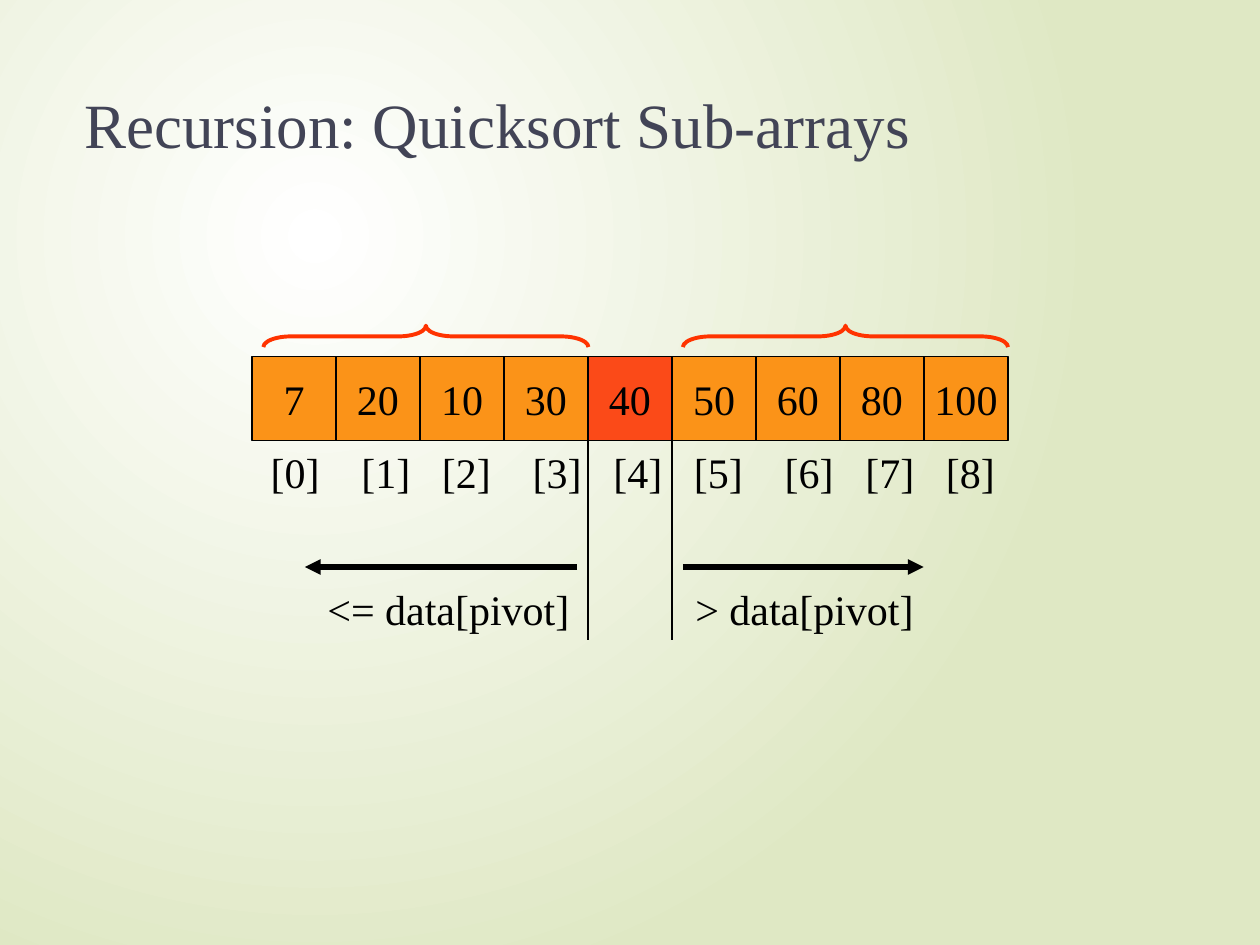
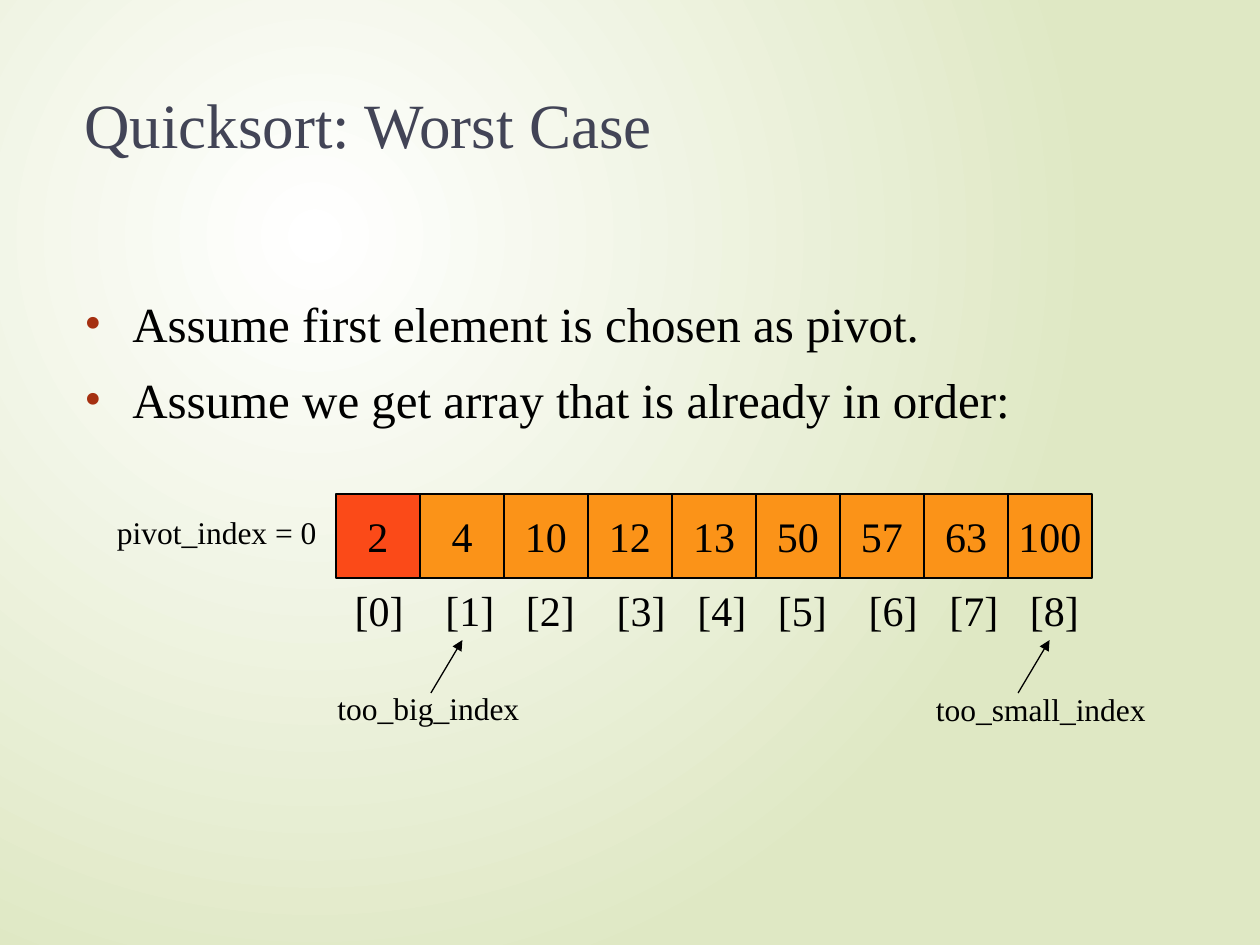
from pptx import Presentation
from pptx.dml.color import RGBColor
from pptx.enum import shapes, text
from pptx.oxml.ns import qn
from pptx.util import Inches, Pt
from lxml import etree

FONT = "Times New Roman"
BLACK = RGBColor(0x00, 0x00, 0x00)
WHITE = RGBColor(0xFF, 0xFF, 0xFF)
PALE_GREEN = RGBColor(0xDF, 0xE8, 0xC4)
TITLE_GREY = RGBColor(0x42, 0x44, 0x56)
ORANGE = RGBColor(0xFB, 0x93, 0x18)
PIVOT_RED = RGBColor(0xFB, 0x4A, 0x18)
BRACE_RED = RGBColor(0xFF, 0x33, 0x00)
BULLET_RED = RGBColor(0xA5, 0x30, 0x10)

CELL = 2 / 3
INDEX_STOPS = [0.72, 1.36, 2.08, 2.72, 3.36, 4.08, 4.72, 5.36]

PARTITION = {
    "title": "Recursion: Quicksort Sub-arrays",
    "array": [7, 20, 10, 30, 40, 50, 60, 80, 100],
    "pivot": 4,
    "corner": (2, 2.83),
    "dividers": [4, 5],
    "divider_end": 5.08,
    "brace_centers": [3.38, 6.71],
    "sides": [
        ("<= data[pivot]", (2.5, 4.58, 2.2, 0.5), (4.58, 2.42)),
        ("> data[pivot]", (5.42, 4.58, 2.2, 0.5), (5.42, 7.33)),
    ],
    "side_arrow_y": 4.5,
}

WORST_CASE = {
    "title": "Quicksort: Worst Case",
    "bullets": [
        "Assume first element is chosen as pivot.",
        "Assume we get array that is already in order:",
    ],
    "array": [2, 4, 10, 12, 13, 50, 57, 63, 100],
    "pivot": 0,
    "corner": (8 / 3, 3.92),
    "pivot_label": ("pivot_index = 0", (0.83, 4.02, 1.84, 0.4)),
    "pointers": [
        ("too_big_index", (2.58, 5.42, 3.17, 0.4), 3.42),
        ("too_small_index", (7.33, 5.43, 2.33, 0.4), 8.08),
    ],
}


def add_xml(parent, tag, **attributes):
    return etree.SubElement(parent, qn(tag), attributes)


def write(paragraph, words, size, color=BLACK):
    run = paragraph.add_run()
    run.text = words
    run.font.name = FONT
    run.font.size = Pt(size)
    run.font.color.rgb = color


def add_frame(slide, area):
    frame = slide.shapes.add_textbox(*map(Inches, area)).text_frame
    frame.word_wrap = True
    return frame


def add_label(slide, words, area, size):
    frame = add_frame(slide, area)
    write(frame.paragraphs[0], words, size)
    return frame


def add_flush_frame(slide, area):
    frame = add_frame(slide, area)
    frame.margin_left = frame.margin_right = 0
    frame.margin_top = frame.margin_bottom = 0
    return frame


def add_line(slide, start, end, weight=0.75, arrow=False):
    line = slide.shapes.add_connector(
        shapes.MSO_CONNECTOR.STRAIGHT, *map(Inches, (*start, *end)))
    line.line.color.rgb = BLACK
    line.line.width = Pt(weight)
    if arrow:
        add_xml(line._element.spPr.find(qn("a:ln")), "a:tailEnd", type="triangle")
    add_xml(line._element.spPr, "a:effectLst")


def add_array(slide, content):
    left, top = content["corner"]
    for index, value in enumerate(content["array"]):
        cell = slide.shapes.add_shape(
            shapes.MSO_SHAPE.RECTANGLE,
            *map(Inches, (left + index * CELL, top, CELL, CELL)))
        cell.shadow.inherit = False
        cell.fill.solid()
        cell.fill.fore_color.rgb = PIVOT_RED if index == content["pivot"] else ORANGE
        cell.line.color.rgb = BLACK
        cell.line.width = Pt(0.75)
        frame = cell.text_frame
        frame.word_wrap = False
        frame.vertical_anchor = text.MSO_ANCHOR.MIDDLE
        frame.paragraphs[0].alignment = text.PP_ALIGN.CENTER
        write(frame.paragraphs[0], str(value), 24)

    indexes = "\t".join(f"[{index}]" for index in range(len(content["array"])))
    frame = add_label(slide, indexes, (left + 0.05, top + CELL, 6.1, 0.5), 24)
    stops = add_xml(frame.paragraphs[0]._p.get_or_add_pPr(), "a:tabLst")
    for stop in INDEX_STOPS:
        add_xml(stops, "a:tab", pos=str(Inches(stop)), algn="l")


def add_brace(slide, center):
    thickness, span, middle = 0.17, 2.58, 2.67
    brace = slide.shapes.add_shape(
        shapes.MSO_SHAPE.LEFT_BRACE,
        *map(Inches, (center - thickness / 2, middle - span / 2, thickness, span)))
    brace.rotation = 90
    brace.adjustments[0] = 1.29
    brace.shadow.inherit = False
    brace.fill.background()
    brace.line.color.rgb = BRACE_RED
    brace.line.width = Pt(2.25)


def add_bullets(slide, bullets):
    frame = add_flush_frame(slide, (0.67, 2.33, 8.67, 5.08))
    for number, words in enumerate(bullets):
        paragraph = frame.add_paragraph() if number else frame.paragraphs[0]
        paragraph.space_before = Pt(10)
        write(paragraph, words, 28)
        properties = paragraph._p.get_or_add_pPr()
        properties.set("marL", str(Inches(0.38)))
        properties.set("indent", str(-Inches(0.38)))
        add_xml(add_xml(properties, "a:buClr"), "a:srgbClr", val=str(BULLET_RED))
        add_xml(properties, "a:buFont", typeface=FONT)
        add_xml(properties, "a:buChar", char="•")


def set_background(master):
    fill = master.background.fill
    fill.gradient()
    for stop, color in zip(fill.gradient_stops, (WHITE, PALE_GREEN)):
        stop.color.rgb = color
    gradient = next(master.element.iter(qn("a:gradFill")))
    gradient.remove(gradient.find(qn("a:lin")))
    circle = add_xml(gradient, "a:path", path="circle")
    add_xml(circle, "a:fillToRect", l="50000", t="50000", r="100000", b="100000")


def add_slide(deck, content):
    slide = deck.slides.add_slide(deck.slide_layouts[6])
    title = add_flush_frame(slide, (0.67, 0.68, 8.67, 1.4))
    write(title.paragraphs[0], content["title"], 36, TITLE_GREY)
    add_array(slide, content)
    return slide


def build_partition(deck):
    slide = add_slide(deck, PARTITION)
    left, top = PARTITION["corner"]
    for edge in PARTITION["dividers"]:
        x = left + edge * CELL
        add_line(slide, (x, top), (x, PARTITION["divider_end"]))
    y = PARTITION["side_arrow_y"]
    for words, area, (start, end) in PARTITION["sides"]:
        add_line(slide, (start, y), (end, y), 3, arrow=True)
        add_label(slide, words, area, 24)
    for center in PARTITION["brace_centers"]:
        add_brace(slide, center)


def build_worst_case(deck):
    slide = add_slide(deck, WORST_CASE)
    add_bullets(slide, WORST_CASE["bullets"])
    add_label(slide, *WORST_CASE["pivot_label"], 18)
    for words, area, x in WORST_CASE["pointers"]:
        add_label(slide, words, area, 18)
        add_line(slide, (x, 5.5), (x + 0.25, 5.08), arrow=True)


def main():
    deck = Presentation()
    deck.slide_width, deck.slide_height = Inches(10), Inches(7.5)
    set_background(deck.slide_master)
    build_partition(deck)
    build_worst_case(deck)
    deck.save("out.pptx")


if __name__ == "__main__":
    main()
